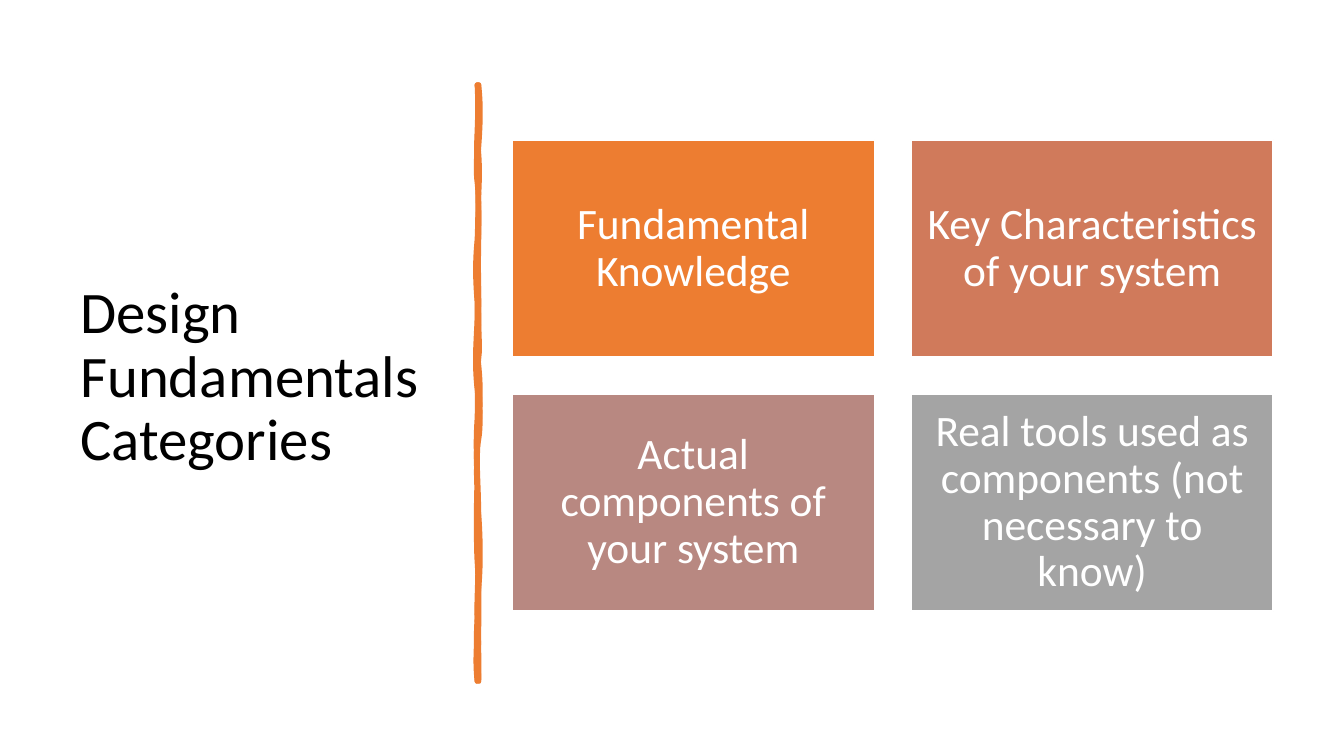
from dataclasses import dataclass

from lxml import etree
from pptx import Presentation
from pptx.dml.color import RGBColor
from pptx.enum.shapes import MSO_SHAPE
from pptx.enum.text import MSO_ANCHOR, MSO_AUTO_SIZE, PP_ALIGN
from pptx.oxml.ns import qn
from pptx.util import Inches, Pt

RECT = MSO_SHAPE.RECTANGLE
MIDDLE = MSO_ANCHOR.MIDDLE
NO_FIT = MSO_AUTO_SIZE.NONE
LEFT, CENTER = PP_ALIGN.LEFT, PP_ALIGN.CENTER

SLIDE_W, SLIDE_H = Inches(13.33), Inches(7.5)
FONT = "Calibri"
COLORS = {
    "orange": "ED7D31",
    "terracotta": "D07A5B",
    "rose": "B88881",
    "gray": "A4A4A4",
    "white": "FFFFFF",
    "black": "000000",
}


@dataclass
class Card:
    text: str
    color: str
    col: int
    row: int


CARDS = [
    Card("Fundamental Knowledge", "orange", 0, 0),
    Card("Key Characteristics of your system", "terracotta", 1, 0),
    Card("Actual components of your system", "rose", 0, 1),
    Card("Real tools used as components (not necessary to know)", "gray", 1, 1),
]

BRUSH_CONTOURS = [
    [
        (4.75, 0.84),
        (4.77, 1.02), (4.77, 1.19), (4.75, 1.46),
        (4.73, 1.73), (4.76, 1.95), (4.75, 2.26),
        (4.74, 2.57), (4.75, 2.62), (4.75, 2.94),
        (4.74, 3.25), (4.77, 3.42), (4.75, 3.56),
        (4.73, 3.7), (4.79, 4.14), (4.75, 4.36),
        (4.71, 4.57), (4.72, 4.84), (4.75, 5.1),
        (4.77, 5.36), (4.77, 5.64), (4.75, 5.84),
        (4.73, 6.03), (4.76, 6.5), (4.75, 6.76),
        (4.74, 6.76), (4.73, 6.76), (4.73, 6.76),
        (4.74, 6.46), (4.71, 6.44), (4.73, 6.13),
        (4.74, 5.83), (4.74, 5.7), (4.73, 5.57),
        (4.72, 5.44), (4.72, 4.95), (4.73, 4.77),
        (4.73, 4.59), (4.71, 4.45), (4.73, 4.15),
        (4.74, 3.86), (4.72, 3.73), (4.73, 3.35),
        (4.74, 2.98), (4.72, 2.81), (4.73, 2.5),
        (4.74, 2.18), (4.75, 2), (4.73, 1.81),
        (4.7, 1.63), (4.77, 1.04), (4.73, 0.84),
    ],
    [
        (4.75, 0.84),
        (4.75, 1.15), (4.72, 1.25), (4.75, 1.52),
        (4.77, 1.79), (4.74, 1.97), (4.75, 2.08),
        (4.76, 2.2), (4.74, 2.55), (4.75, 2.94),
        (4.76, 3.33), (4.73, 3.43), (4.75, 3.62),
        (4.77, 3.81), (4.77, 3.97), (4.75, 4.3),
        (4.72, 4.63), (4.75, 4.74), (4.75, 5.16),
        (4.75, 5.57), (4.74, 5.53), (4.75, 5.78),
        (4.76, 6.03), (4.74, 6.47), (4.75, 6.76),
        (4.74, 6.75), (4.73, 6.75), (4.73, 6.76),
        (4.7, 6.49), (4.74, 6.32), (4.73, 6.13),
        (4.72, 5.95), (4.75, 5.69), (4.73, 5.39),
        (4.71, 5.1), (4.76, 5), (4.73, 4.71),
        (4.7, 4.42), (4.77, 4.2), (4.73, 3.86),
        (4.69, 3.51), (4.74, 3.25), (4.73, 3),
        (4.71, 2.75), (4.71, 2.59), (4.73, 2.38),
        (4.74, 2.16), (4.74, 1.85), (4.73, 1.64),
        (4.71, 1.43), (4.75, 1.21), (4.73, 0.84),
    ],
]


def rgb(name: str) -> RGBColor:
    return RGBColor.from_string(COLORS[name])


def across(percent: float) -> int:
    return round(SLIDE_W * percent / 100)


def down(percent: float) -> int:
    return round(SLIDE_H * percent / 100)


def paint(sp, fill: str, line: str, width: float) -> None:
    sp.shadow.inherit = False
    sp.fill.solid()
    sp.fill.fore_color.rgb = rgb(fill)
    sp.line.color.rgb = rgb(line)
    sp.line.width = Pt(width)


def write(sp, text: str, size: float, color: str, align: PP_ALIGN) -> None:
    tf = sp.text_frame
    tf.text = text
    tf.word_wrap = True
    tf.auto_size = NO_FIT
    tf.vertical_anchor = MIDDLE
    p = tf.paragraphs[0]
    p.alignment = align
    p.line_spacing = 0.9
    p.font.name = FONT
    p.font.size = Pt(size)
    p.font.color.rgb = rgb(color)


def bend_segments(sp, controls: list) -> None:
    segments = list(sp.element.iter(qn("a:lnTo")))
    for segment, pair in zip(segments, controls):
        curve = etree.Element(qn("a:cubicBezTo"))
        for x, y in pair:
            pt = etree.SubElement(curve, qn("a:pt"))
            pt.set("x", str(x - sp.left))
            pt.set("y", str(y - sp.top))
        curve.append(segment[0])
        segment.getparent().replace(segment, curve)


def add_brush_line(slide) -> None:
    contours = [[(Inches(x), Inches(y)) for x, y in c] for c in BRUSH_CONTOURS]
    builder = slide.shapes.build_freeform(*contours[0][0])
    controls = []
    for i, contour in enumerate(contours):
        if i:
            builder.move_to(*contour[0])
        builder.add_line_segments(contour[3::3], close=True)
        controls += zip(contour[1::3], contour[2::3])
    sp = builder.convert_to_shape()
    bend_segments(sp, controls)
    paint(sp, "orange", "orange", 3.25)


def add_card(slide, card: Card) -> None:
    sp = slide.shapes.add_shape(
        RECT,
        across(38.1 + 29.68 * card.col), down(18.5 + 33.6 * card.row),
        across(26.95), down(28.75),
    )
    paint(sp, card.color, "white", 1)
    tf = sp.text_frame
    tf.margin_left = tf.margin_right = Inches(0.13)
    tf.margin_top = tf.margin_bottom = Inches(0.13)
    write(sp, card.text, 31, "white", CENTER)


def main() -> None:
    prs = Presentation()
    prs.slide_width, prs.slide_height = SLIDE_W, SLIDE_H
    slide = prs.slides.add_slide(prs.slide_layouts[5])
    title = slide.shapes.title
    title.left, title.top = across(5.22), down(9.3)
    title.width, title.height = across(28.05), down(81.5)
    write(title, "Design Fundamentals Categories", 42, "black", LEFT)
    add_brush_line(slide)
    for card in CARDS:
        add_card(slide, card)
    prs.save("out.pptx")


if __name__ == "__main__":
    main()
